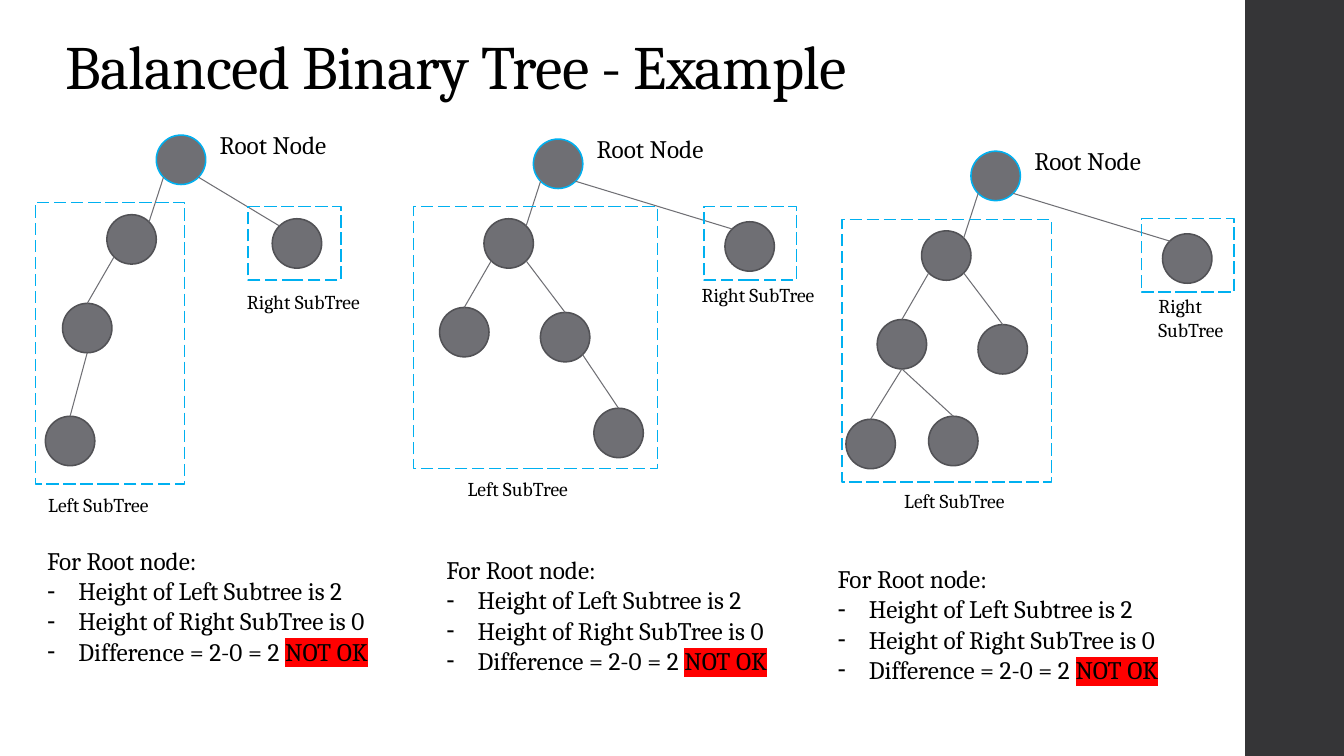
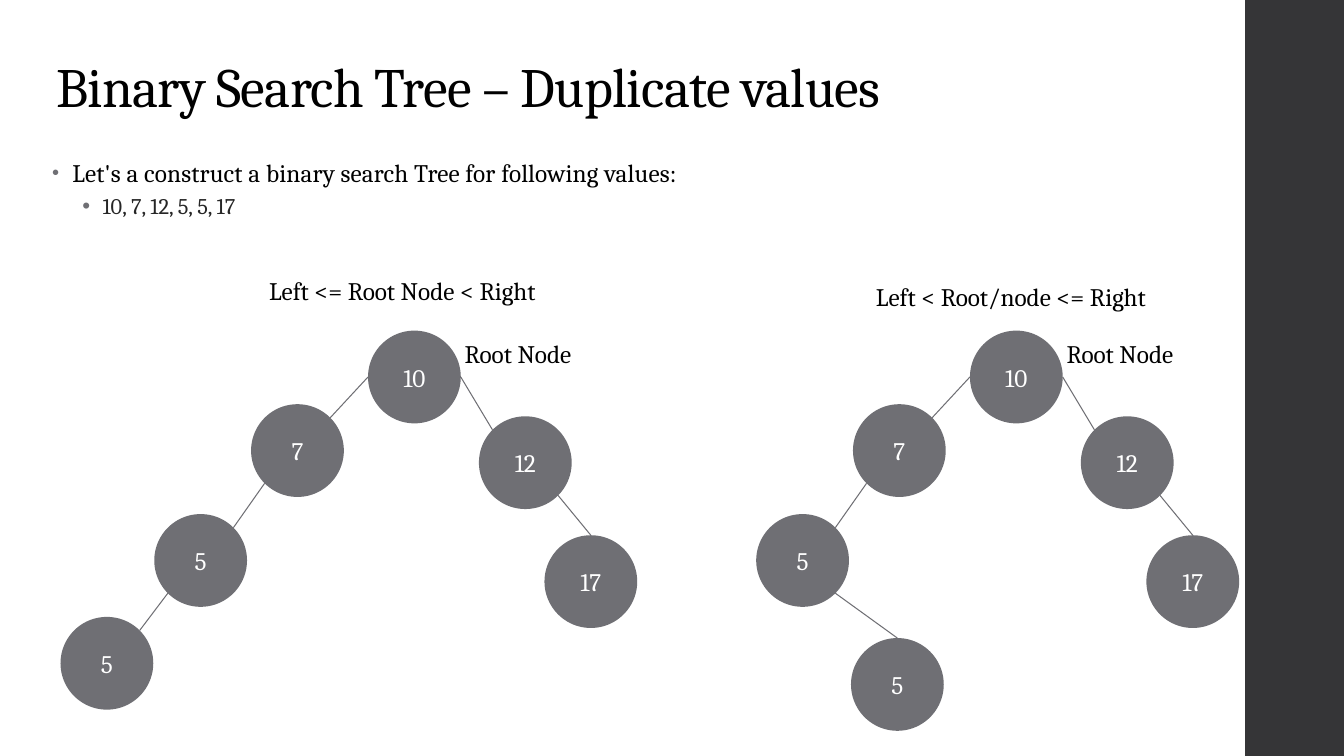
from math import cos, radians, sin

from lxml.etree import SubElement
from pptx import Presentation
from pptx.dml.color import RGBColor
from pptx.enum.dml import MSO_LINE
from pptx.enum.shapes import MSO_CONNECTOR, MSO_SHAPE
from pptx.enum.text import MSO_ANCHOR, PP_ALIGN
from pptx.oxml.ns import qn
from pptx.util import Inches, Pt

BLACK = RGBColor(0x00, 0x00, 0x00)
WHITE = RGBColor(0xFF, 0xFF, 0xFF)
INK = RGBColor(0x26, 0x26, 0x26)
BAND = RGBColor(0x35, 0x35, 0x37)
GRAY = RGBColor(0x6F, 0x6F, 0x74)
EDGE = RGBColor(0x52, 0x52, 0x56)
BLUE = RGBColor(0x00, 0xB0, 0xF0)
FONT = "Cambria"

# Places where a line can meet a circle, counted from the top, leftwards
TOP, TOP_LEFT, LEFT, LOW_LEFT, LOW, LOW_RIGHT, RIGHT, TOP_RIGHT = range(8)


class Deck:
    def __init__(self):
        self.prs = Presentation()
        self.prs.slide_width = Inches(13.33)
        self.prs.slide_height = Inches(7.5)
        self.slide = None

    def start(self, title, left, top, size):
        """Add a slide with the side band and its title."""
        self.slide = self.prs.slides.add_slide(self.prs.slide_layouts[6])
        self.shape(MSO_SHAPE.RECTANGLE, 12.35, 0, 1, 7.5, fill=BAND)
        frame = self.box(left, top, 10.6, 0.86)
        frame.vertical_anchor = MSO_ANCHOR.BOTTOM
        para = frame.paragraphs[0]
        para.line_spacing = 0.9
        self.run(para, title, size, space=-50)

    def shape(self, kind, left, top, width, height, fill=None, line=None):
        shape = self.slide.shapes.add_shape(
            kind, Inches(left), Inches(top), Inches(width), Inches(height))
        shape.shadow.inherit = False
        if fill is None:
            shape.fill.background()
        else:
            shape.fill.solid()
            shape.fill.fore_color.rgb = fill
        if line is None:
            shape.line.fill.background()
        else:
            shape.line.color.rgb = line
            shape.line.width = Pt(1.1)
        return shape

    def box(self, left, top, width, height):
        frame = self.slide.shapes.add_textbox(
            Inches(left), Inches(top), Inches(width), Inches(height)).text_frame
        frame.word_wrap = True
        return frame

    def run(self, para, text, size=18, color=BLACK, space=0, mark=None):
        run = para.add_run()
        run.text = text
        run.font.size = Pt(size)
        run.font.color.rgb = color
        run.font.name = FONT
        props = run.font._element
        if space:
            props.set("spc", str(space))
        if mark:
            light = SubElement(props, qn("a:highlight"))
            SubElement(light, qn("a:srgbClr")).set("val", mark)
            props.find(qn("a:latin")).addprevious(light)

    def bullet(self, para, sign, left, hang, color=None, scale=None):
        props = para._p.get_or_add_pPr()
        props.set("marL", str(Inches(left)))
        props.set("indent", str(-Inches(hang)))
        if color is not None:
            tint = SubElement(props, qn("a:buClr"))
            SubElement(tint, qn("a:srgbClr")).set("val", str(color))
        if scale:
            SubElement(props, qn("a:buSzPct")).set("val", str(scale * 1000))
        SubElement(props, qn("a:buFont")).set("typeface", "Arial")
        SubElement(props, qn("a:buChar")).set("char", sign)

    def label(self, text, left, top, width, size=18):
        lines = text.split("\n")
        frame = self.box(left, top, width, 0.1 + len(lines) * size / 60)
        for i, line in enumerate(lines):
            para = frame.add_paragraph() if i else frame.paragraphs[0]
            self.run(para, line, size)

    def dashed(self, left, top, width, height):
        frame = self.shape(MSO_SHAPE.RECTANGLE, left, top, width, height, line=BLUE)
        frame.line.dash_style = MSO_LINE.LONG_DASH

    def node(self, left, top, size, text="", line=None):
        node = self.shape(MSO_SHAPE.OVAL, left, top, size, size, GRAY, line)
        if text:
            frame = node.text_frame
            frame.vertical_anchor = MSO_ANCHOR.MIDDLE
            para = frame.paragraphs[0]
            para.alignment = PP_ALIGN.CENTER
            self.run(para, text, color=WHITE)

    def link(self, start, end):
        line = self.slide.shapes.add_connector(
            MSO_CONNECTOR.STRAIGHT, *(Inches(v) for v in start + end))
        line.line.color.rgb = GRAY
        line.line.width = Pt(0.75)
        SubElement(line._element.spPr, qn("a:effectLst"))

    def tree(self, left, top, size, nodes, root="", lines=(None, None), tag=(0, 0)):
        """Draw a root and nodes (text, dx, dy, parent, its site, own site)."""
        spots = [(left, top)]
        self.node(left, top, size, root, lines[0])
        for text, dx, dy, parent, begin, end in nodes:
            spot = (left + dx, top + dy)
            spots.append(spot)
            self.node(*spot, size, text, lines[1])
            self.link(rim(spots[parent], size, begin), rim(spot, size, end))
        self.label("Root Node", left + tag[0], top + tag[1], 1.41)

    def verdict(self, left, top):
        frame = self.box(left, top, 3.96, 1.31)
        self.run(frame.paragraphs[0], "For Root node:")
        for text in ("Height of Left Subtree is 2",
                     "Height of Right SubTree is 0",
                     "Difference = 2-0 = 2 "):
            para = frame.add_paragraph()
            self.bullet(para, "-", 0.31, 0.31)
            self.run(para, text)
        self.run(para, "NOT OK", mark="FF0000")


def rim(spot, size, site):
    """Give the point of a circle at one of its eight sites."""
    turn = radians(90 + 45 * site)
    half = size / 2
    return (spot[0] + half + half * cos(turn), spot[1] + half - half * sin(turn))


def balance(deck):
    deck.start("Balanced Binary Tree - Example", 0.55, 0.21, 44)
    child = ("", -0.49, 0.79, 0, LOW_LEFT, TOP_RIGHT)
    inner = ("", -0.93, 1.67, 1, LOW_LEFT, TOP)
    other = ("", 0.07, 1.72, 1, LOW_RIGHT, TOP)
    far = ("", 1.9, 0.82, 0, LOW_RIGHT, TOP_LEFT)
    # Root, nodes, left frame, right frame, left label, right label, verdict
    trees = [
        ((1.55, 1.34),
         [child, inner, ("", 1.15, 0.83, 0, LOW_RIGHT, TOP_LEFT),
          ("", -1.1, 2.79, 2, LOW, TOP)],
         (0.35, 2.01, 1.48, 2.79), (2.46, 2.05),
         (0.38, 4.84), ("Right SubTree", 2.35, 2.83, 1.53), (0.37, 5.36)),
        ((5.29, 1.38),
         [child, inner, far, other, ("", 0.6, 2.67, 4, LOW_RIGHT, TOP)],
         (4.1, 2.05, 2.42, 2.6), (6.98, 2.05),
         (4.54, 4.68), ("Right SubTree", 6.86, 2.76, 1.53), (4.33, 5.45)),
        ((9.63, 1.5),
         [child, inner, far, other, ("", -1.24, 2.66, 2, LOW, TOP),
          ("", -0.42, 2.63, 2, LOW, TOP)],
         (8.35, 2.18, 2.08, 2.6), (11.32, 2.17),
         (8.87, 4.8), ("Right\nSubTree", 11.39, 2.87, 0.97), (8.21, 5.54)),
    ]
    for root, nodes, wide, small, left, right, note in trees:
        deck.tree(*root, 0.49, nodes, lines=(BLUE, EDGE), tag=(0.53, -0.11))
        deck.dashed(*wide)
        deck.dashed(*small, 0.92, 0.73)
        deck.label("Left SubTree", *left, 1.4, 14)
        deck.label(*right, 14)
        deck.verdict(*note)


def search(deck):
    deck.start("Binary Search Tree – Duplicate values", 0.46, 0.37, 39.6)
    frame = deck.box(0.42, 1.53, 10.6, 0.87)
    para = frame.paragraphs[0]
    deck.bullet(para, "•", 0.2, 0.2, GRAY, 80)
    para.line_spacing = 0.95
    para.space_after = Pt(2)
    deck.run(para, "Let's a construct a binary search Tree for following values:",
             space=10)
    para = frame.add_paragraph()
    para.level = 1
    deck.bullet(para, "•", 0.5, 0.2, GRAY)
    para.line_spacing = 0.9
    para.space_before = para.space_after = Pt(3)
    deck.run(para, "10, 7, 12, 5, 5, 17", 16, INK)

    common = [
        ("7", -1.16, 0.73, 0, LEFT, TOP_RIGHT),
        ("5", -2.12, 1.82, 1, LOW_LEFT, TOP_RIGHT),
        ("12", 1.1, 0.85, 0, RIGHT, TOP_LEFT),
        ("17", 1.75, 2.03, 3, LOW_RIGHT, TOP),
    ]
    trees = [
        (3.65, ("5", -3.05, 2.84, 2, LOW_LEFT, TOP_RIGHT),
         "Left <= Root Node < Right", 2.57, 2.68),
        (9.62, ("5", -1.18, 3.05, 2, LOW_RIGHT, TOP),
         "Left < Root/node <= Right", 8.59, 2.74),
    ]
    for left, twin, rule, x, y in trees:
        deck.tree(left, 3.28, 0.92, common + [twin], "10", tag=(0.86, 0.03))
        deck.label(rule, x, y, 3.3)


def main():
    deck = Deck()
    balance(deck)
    search(deck)
    deck.prs.save("out.pptx")


if __name__ == "__main__":
    main()
